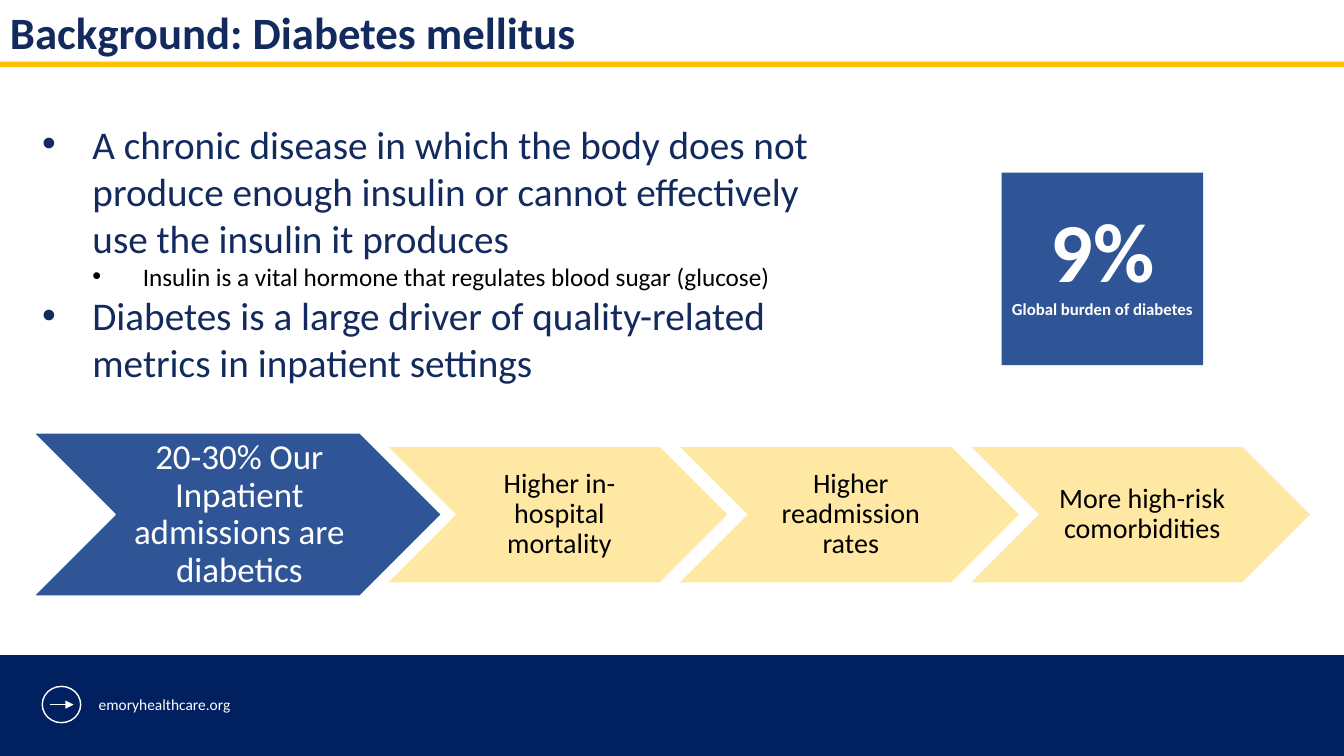
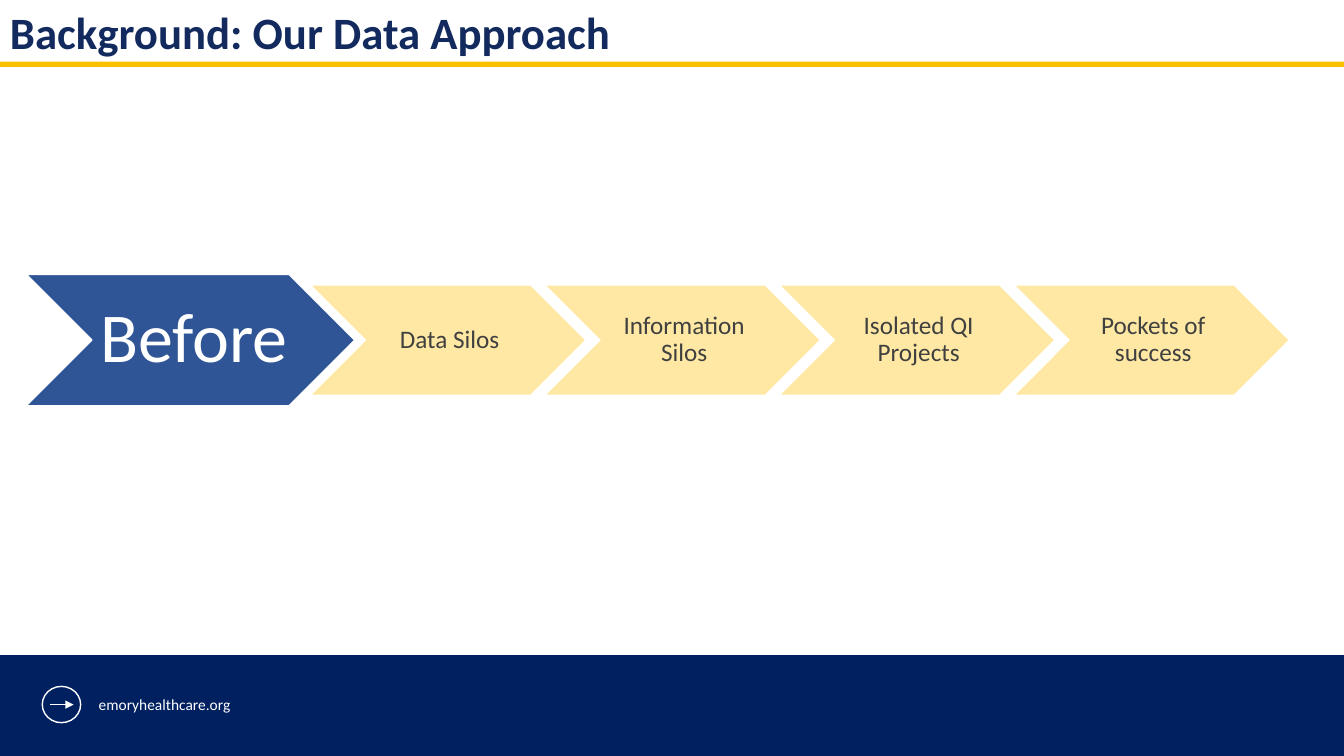
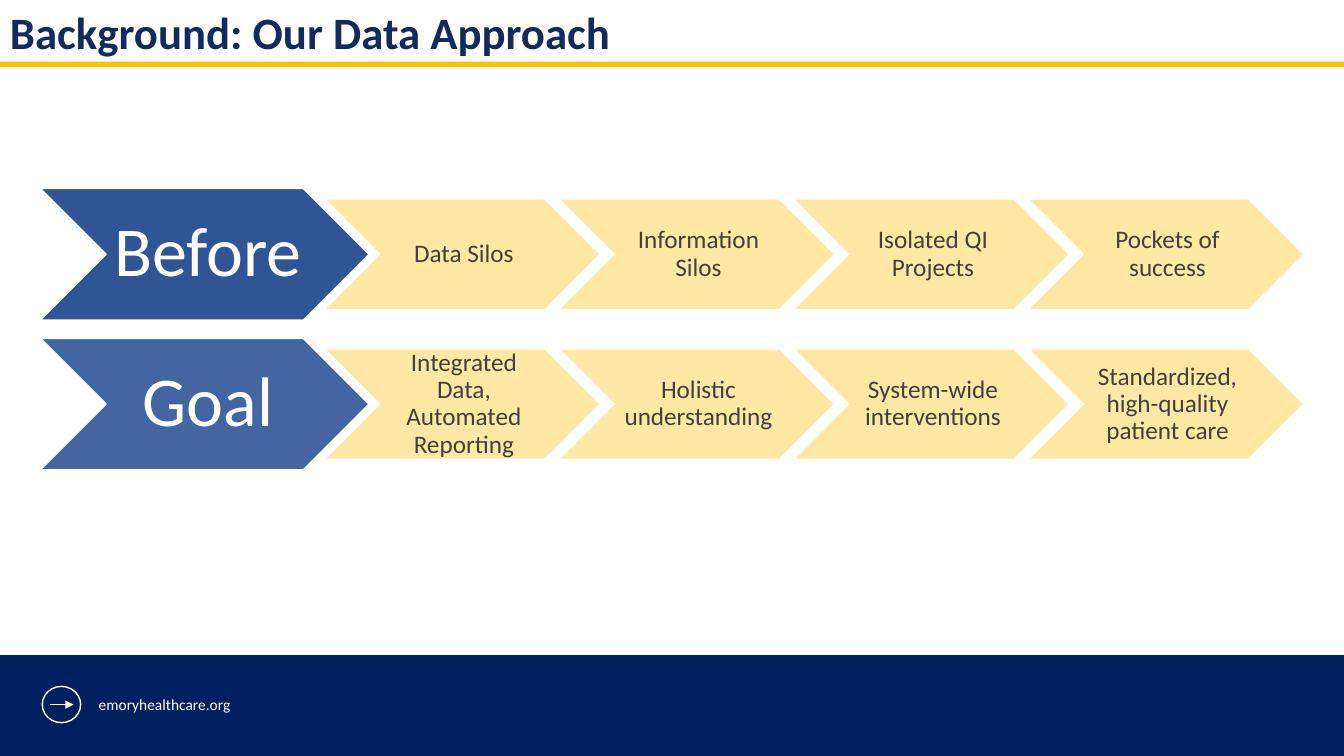
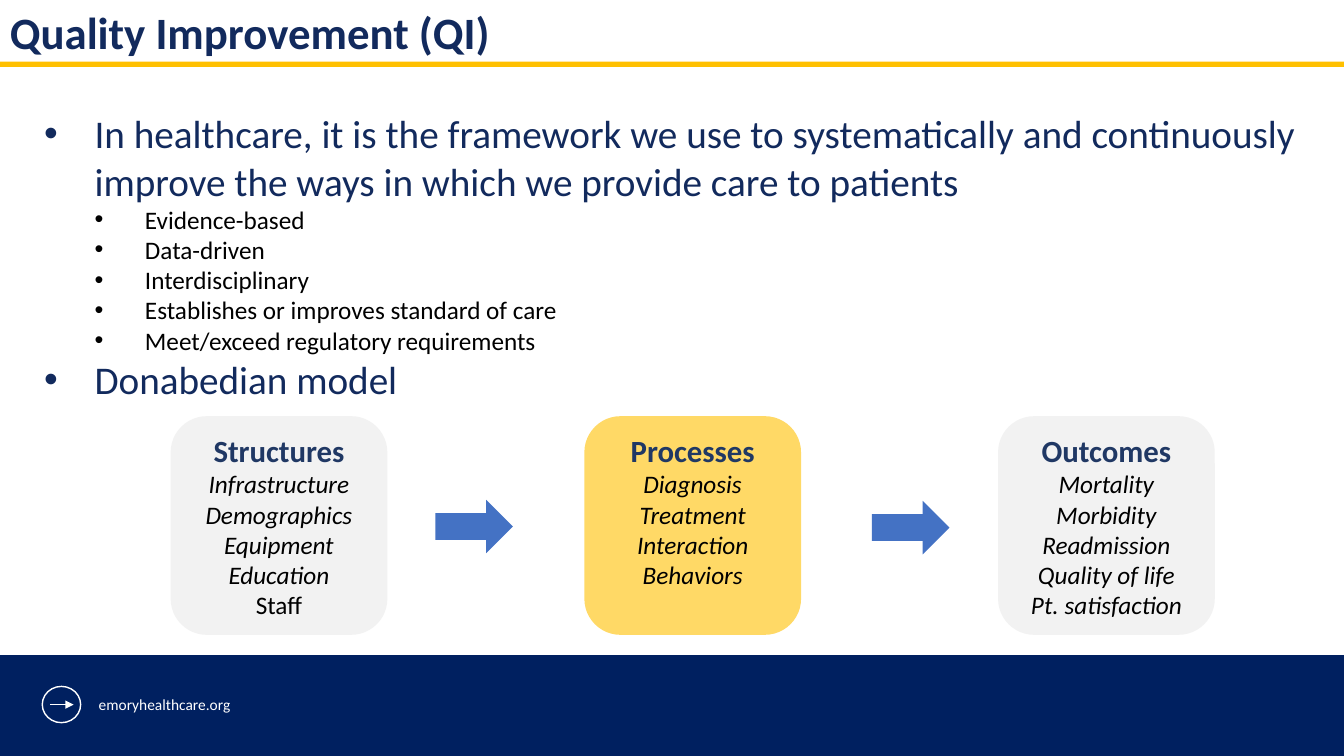
from dataclasses import dataclass
from typing import Optional, Sequence, Union

from lxml.etree import SubElement
from pptx import Presentation
from pptx.dml.color import RGBColor
from pptx.enum.shapes import MSO_CONNECTOR, MSO_SHAPE
from pptx.enum.text import MSO_ANCHOR, MSO_AUTO_SIZE, PP_ALIGN
from pptx.oxml.ns import qn
from pptx.shapes.autoshape import Shape
from pptx.shapes.shapetree import GroupShapes, SlideShapes
from pptx.slide import Slide
from pptx.text.text import TextFrame
from pptx.util import Pt

Shapes = Union[SlideShapes, GroupShapes]

COLORS = {
    "white": "FFFFFF", "black": "000000", "text": "122A5D", "gold": "FFC000",
    "blue": "2F5597", "cream": "FFE699", "gray": "404040", "navy": "002060",
    "pale": "F2F2F2", "yellow": "FFD966", "head": "203864", "arrow": "4472C4",
}
FONT = "Calibri"
WIDTH, HEIGHT = 960, 540


@dataclass(frozen=True)
class Box:
    left: float
    top: float
    width: float
    height: float

    def points(self) -> list:
        return [Pt(n) for n in (self.left, self.top, self.width, self.height)]


@dataclass(frozen=True)
class Line:
    text: str
    size: float
    color: str
    bold: bool = False
    slant: bool = False
    depth: Optional[int] = None  # bullet level, if any


@dataclass(frozen=True)
class Chain:
    head: str
    steps: Sequence[str]
    left: float
    top: float
    width: float
    big: float = 50
    small: float = 18
    color: str = "gray"
    alpha: int = 100


@dataclass(frozen=True)
class Card:
    head: str
    items: Sequence[str]
    fill: str
    plain: Sequence[str] = ()


def tint(name: str) -> RGBColor:
    return RGBColor.from_string(COLORS[name])


# Text
def write(frame: TextFrame, lines: Sequence[Line],
          align: PP_ALIGN = PP_ALIGN.LEFT, space: float = 1) -> None:
    frame.word_wrap = True
    frame.text = "\n".join(line.text for line in lines)
    for para, line in zip(frame.paragraphs, lines):
        para.alignment = align
        para.line_spacing = space
        if line.depth is not None:
            para.level = line.depth
            props = para._p.get_or_add_pPr()
            props.set("marL", str(Pt(36 * (line.depth + 1))))
            props.set("indent", str(Pt(-36)))
            SubElement(props, qn("a:buFont")).set("typeface", "Arial")
            SubElement(props, qn("a:buChar")).set("char", "•")
        for run in para.runs:
            font = run.font
            font.name, font.size = FONT, Pt(line.size)
            font.bold, font.italic = line.bold, line.slant
            font.color.rgb = tint(line.color)


def add_text(shapes: Shapes, box: Box, lines: Sequence[Line]) -> TextFrame:
    frame = shapes.add_textbox(*box.points()).text_frame
    write(frame, lines)
    return frame


# Shapes
def add_form(shapes: Shapes, kind: MSO_SHAPE, box: Box, fill: Optional[str] = None,
             edge: Optional[str] = None, alpha: int = 100) -> Shape:
    form = shapes.add_shape(kind, *box.points())
    form.shadow.inherit = False
    if fill:
        form.fill.solid()
        form.fill.fore_color.rgb = tint(fill)
        if alpha < 100:
            color = form._element.spPr.find(qn("a:solidFill"))[0]
            SubElement(color, qn("a:alpha")).set("val", str(alpha * 1000))
    else:
        form.fill.background()
    if edge:
        form.line.color.rgb = tint(edge)
        form.line.width = Pt(1)
    else:
        form.line.fill.background()
    return form


def add_link(shapes: Shapes, left: float, right: float, top: float) -> None:
    link = shapes.add_connector(MSO_CONNECTOR.STRAIGHT, Pt(left), Pt(top), Pt(right), Pt(top))
    link.line.color.rgb = tint("white")
    link.line.width = Pt(0.5)
    SubElement(link.line._get_or_add_ln(), qn("a:tailEnd")).set("type", "triangle")
    SubElement(link._element.spPr, qn("a:effectLst"))


# Chevron rows
def add_step(shapes: Shapes, box: Box, line: Line, fill: str,
             edge: Optional[str], alpha: int) -> None:
    form = add_form(shapes, MSO_SHAPE.CHEVRON, box, fill, edge, alpha)
    frame = form.text_frame
    frame.margin_left, frame.margin_right = Pt(line.size / 10), Pt(0)
    frame.margin_top = frame.margin_bottom = Pt(line.size / 20)
    write(frame, [line], PP_ALIGN.CENTER, 0.9)


def add_chain(shapes: Shapes, chain: Chain) -> None:
    group = shapes.add_group_shape().shapes
    tall = 0.4 * chain.width
    wide = 0.83 * chain.width
    low = 0.4 * wide
    add_step(group, Box(chain.left, chain.top, chain.width, tall),
             Line(chain.head, chain.big, "white"), "blue", "white", chain.alpha)
    start = chain.left + 0.87 * chain.width
    for i, text in enumerate(chain.steps):
        box = Box(start + i * 0.86 * wide, chain.top + (tall - low) / 2, wide, low)
        add_step(group, box, Line(text, chain.small, chain.color), "cream", None, 90)


# Shared frame
def add_slide(deck, title: str) -> Slide:
    slide = deck.slides.add_slide(deck.slide_layouts[6])
    shapes = slide.shapes
    add_text(shapes, Box(0, 0, WIDTH, 43.9), [Line(title, 32, "text", bold=True)])
    add_form(shapes, MSO_SHAPE.RECTANGLE, Box(0, 44, WIDTH, 3.8), "gold")
    foot = shapes.add_group_shape().shapes
    add_form(foot, MSO_SHAPE.RECTANGLE, Box(0, 468, WIDTH, 72), "navy")
    add_form(foot, MSO_SHAPE.OVAL, Box(30.2, 490.3, 27.4, 25.9), edge="white")
    add_link(foot, 36, 52.6, 503.3)
    frame = add_text(foot, Box(63.4, 493.2, 117.4, 20.9),
                     [Line("emoryhealthcare.org", 11, "white")])
    frame.auto_size = MSO_AUTO_SIZE.SHAPE_TO_FIT_TEXT
    return slide


def point(text: str) -> Line:
    return Line(text, 28, "text", depth=0)


def detail(text: str) -> Line:
    return Line(text, 18, "black", depth=1)


# Slides
def add_illness(deck) -> None:
    shapes = add_slide(deck, "Background: Diabetes mellitus").shapes
    add_text(shapes, Box(23, 82.1, 578.9, 272.2), [
        point("A chronic disease in which the body does not produce enough insulin "
              "or cannot effectively use the insulin it produces"),
        detail("Insulin is a vital hormone that regulates blood sugar (glucose)"),
        point("Diabetes is a large driver of quality-related metrics in inpatient settings"),
    ])
    add_chain(shapes, Chain(
        "20-30% Our Inpatient admissions are diabetics",
        ["Higher in-hospital mortality", "Higher readmission rates",
         "More high-risk comorbidities"],
        23.9, 309.2, 291.6, 25, 20, "black"))
    burden = add_form(shapes, MSO_SHAPE.RECTANGLE, Box(715.5, 123.3, 144, 137.5), "blue")
    frame = burden.text_frame
    frame.margin_bottom = Pt(18.2)
    write(frame, [Line("9%", 60, "white", bold=True),
                  Line("Global burden of diabetes", 12, "white", bold=True)],
          PP_ALIGN.CENTER)


BEFORE = ["Data Silos", "Information Silos", "Isolated QI Projects", "Pockets of success"]
GOAL = ["Integrated Data, Automated Reporting", "Holistic understanding",
        "System-wide interventions", "Standardized, high-quality patient care"]


def add_data(deck, chains: Sequence[Chain]) -> None:
    shapes = add_slide(deck, "Background: Our Data Approach").shapes
    for chain in chains:
        add_chain(shapes, chain)


CARDS = [
    Card("Structures", ["Infrastructure", "Demographics", "Equipment", "Education", "Staff"],
         "pale", plain=["Staff"]),
    Card("Processes", ["Diagnosis", "Treatment", "Interaction", "Behaviors"], "yellow"),
    Card("Outcomes", ["Mortality", "Morbidity", "Readmission", "Quality of life",
                      "Pt. satisfaction"], "pale"),
]


def add_model(deck) -> None:
    shapes = add_slide(deck, "Quality Improvement (QI)").shapes
    group = shapes.add_group_shape().shapes
    for i, card in enumerate(CARDS):
        form = add_form(group, MSO_SHAPE.ROUNDED_RECTANGLE,
                        Box(121.9 + i * 295.5, 297.3, 154.8, 156.2), card.fill)
        form.text_frame.vertical_anchor = MSO_ANCHOR.TOP
        lines = [Line(card.head, 22, "head", bold=True)]
        lines += [Line(item, 18, "black", slant=item not in card.plain)
                  for item in card.items]
        write(form.text_frame, lines, PP_ALIGN.CENTER)
    for left, top in ((311, 357), (622.8, 357.8)):
        add_form(shapes, MSO_SHAPE.RIGHT_ARROW, Box(left, top, 55.4, 38.2), "arrow")
    traits = ["Evidence-based", "Data-driven", "Interdisciplinary",
              "Establishes or improves standard of care",
              "Meet/exceed regulatory requirements"]
    add_text(shapes, Box(24.5, 74.9, 911.5, 191.5), [
        point("In healthcare, it is the framework we use to systematically and "
              "continuously improve the ways in which we provide care to patients"),
        *map(detail, traits),
        point("Donabedian model"),
    ])


def main() -> None:
    deck = Presentation()
    deck.slide_width, deck.slide_height = Pt(WIDTH), Pt(HEIGHT)
    add_illness(deck)
    add_data(deck, [Chain("Before", BEFORE, 18.7, 196, 234.7)])
    add_data(deck, [Chain("Before", BEFORE, 28.9, 134.7, 234.7),
                    Chain("Goal", GOAL, 28.9, 241.7, 234.7, alpha=90)])
    add_model(deck)
    deck.save("out.pptx")


if __name__ == "__main__":
    main()
